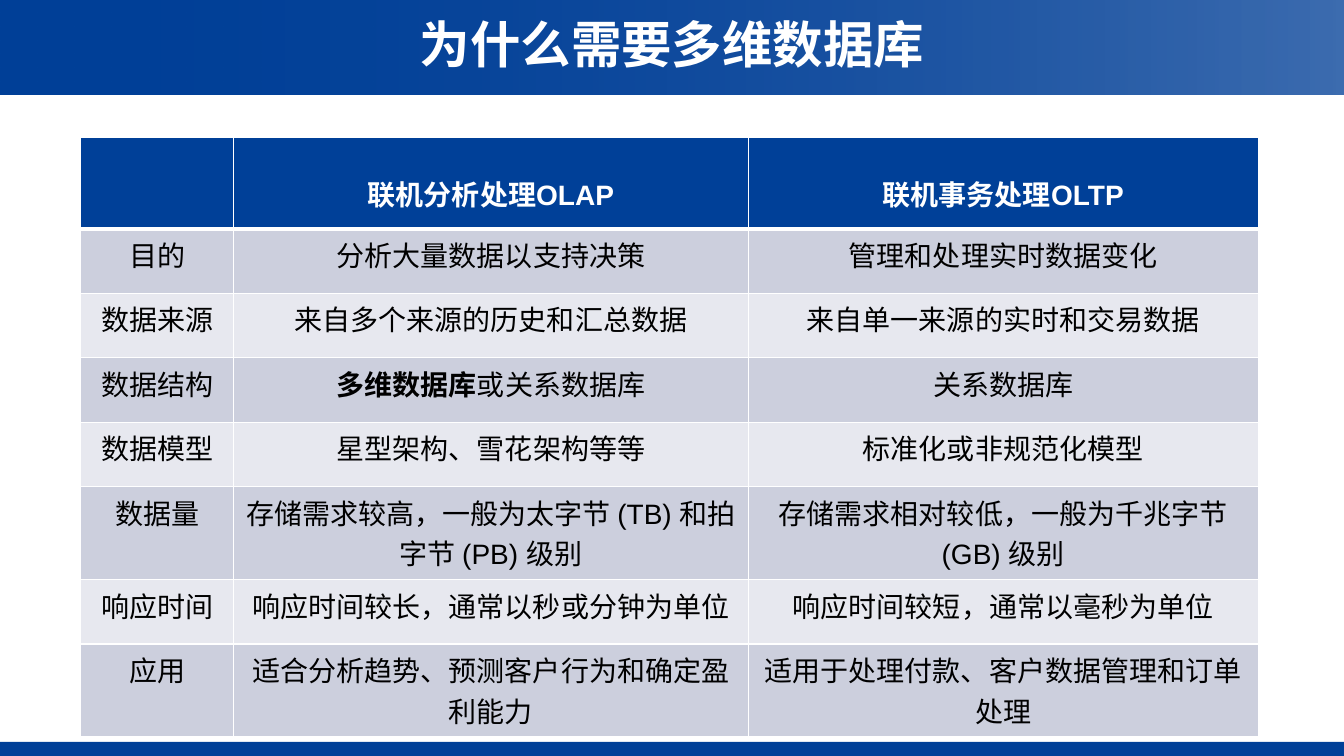
from lxml.etree import SubElement
from pptx import Presentation
from pptx.dml.color import RGBColor
from pptx.enum.shapes import MSO_SHAPE as Shape
from pptx.enum.text import MSO_ANCHOR as Anchor, PP_ALIGN as Align
from pptx.oxml.ns import qn
from pptx.util import Inches, Pt

COLORS = {"blue": "004098", "white": "FFFFFF", "black": "000000", "odd": "CCCFDD", "even": "E7E8EF"}
LATIN_FONT = "Arial"
CHINESE_FONT = "Noto Sans CJK SC"
TITLE = "为什么需要多维数据库"
HEADER = ["", "联机分析处理OLAP", "联机事务处理OLTP"]
ROWS = [
    ["目的", "分析大量数据以支持决策", "管理和处理实时数据变化"],
    ["数据来源", "来自多个来源的历史和汇总数据", "来自单一来源的实时和交易数据"],
    ["数据结构", [("多维数据库", True), ("或关系数据库", False)], "关系数据库"],
    ["数据模型", "星型架构、雪花架构等等", "标准化或非规范化模型"],
    ["数据量", "存储需求较高，一般为太字节 (TB) 和拍字节 (PB) 级别", "存储需求相对较低，一般为千兆字节 (GB) 级别"],
    ["响应时间", "响应时间较长，通常以秒或分钟为单位", "响应时间较短，通常以毫秒为单位"],
    ["应用", "适合分析趋势、预测客户行为和确定盈利能力", "适用于处理付款、客户数据管理和订单处理"],
]
COLUMN_WIDTHS = [1.52, 5.1, 5.06]
HEADER_HEIGHT, ONE_LINE, TWO_LINES = 0.91, 0.64, 0.92
ROW_HEIGHTS = [HEADER_HEIGHT] + [ONE_LINE] * 4 + [TWO_LINES, ONE_LINE, TWO_LINES]
TABLE_LEFT, TABLE_TOP = 0.8, 1.36
BANNER = (0.01, 0, 13.31, 0.94)


def rgb(name):
    return RGBColor.from_string(COLORS[name])


def add_run(paragraph, text, size, color, bold, latin=LATIN_FONT):
    run = paragraph.add_run()
    run.text = text
    run.font.size = Pt(size)
    run.font.bold = bold
    run.font.name = latin
    run.font.color.rgb = rgb(color)
    SubElement(run.font._element, qn("a:ea"), typeface=CHINESE_FONT)


def add_bar(slide, box, right_opacity=None):
    shape = slide.shapes.add_shape(Shape.RECTANGLE, *map(Inches, box))
    shape.shadow.inherit = False
    shape.line.fill.background()
    if right_opacity is None:
        shape.fill.solid()
        shape.fill.fore_color.rgb = rgb("blue")
        return
    shape.fill.gradient()
    shape.fill.gradient_angle = 180
    for stop in shape.fill.gradient_stops:
        stop.color.rgb = rgb("blue")
    first_color = shape._element.spPr.find(".//" + qn("a:srgbClr"))
    SubElement(first_color, qn("a:alpha"), val=str(right_opacity * 1000))


def add_title(slide):
    box = slide.shapes.add_textbox(*map(Inches, BANNER))
    frame = box.text_frame
    frame.word_wrap = True
    frame.vertical_anchor = Anchor.MIDDLE
    frame.margin_left = frame.margin_right = Inches(0.16)
    frame.margin_top = frame.margin_bottom = Inches(0.16)
    paragraph = frame.paragraphs[0]
    paragraph.alignment = Align.CENTER
    paragraph.line_spacing = 0.9
    add_run(paragraph, TITLE, 36, "white", True, CHINESE_FONT)


def set_borders(cell, top, bottom):
    properties = cell._tc.get_or_add_tcPr()
    for side, width in (("L", 1), ("R", 1), ("T", top), ("B", bottom)):
        line = SubElement(properties, qn("a:ln" + side), w=str(Pt(width)))
        fill = SubElement(line, qn("a:solidFill"))
        SubElement(fill, qn("a:srgbClr"), val=COLORS["white"])


def add_comparison(slide):
    rows = [HEADER] + ROWS
    box = (TABLE_LEFT, TABLE_TOP, sum(COLUMN_WIDTHS), sum(ROW_HEIGHTS))
    table = slide.shapes.add_table(len(rows), len(HEADER), *map(Inches, box)).table
    for column, width in zip(table.columns, COLUMN_WIDTHS):
        column.width = Inches(width)
    for row, height in zip(table.rows, ROW_HEIGHTS):
        row.height = Inches(height)
    for index, values in enumerate(rows):
        is_header = index == 0
        fill = "blue" if is_header else "odd" if index % 2 else "even"
        for column, value in enumerate(values):
            cell = table.cell(index, column)
            set_borders(cell, 3 if index == 1 else 1, 3 if is_header else 1)
            cell.fill.solid()
            cell.fill.fore_color.rgb = rgb(fill)
            if is_header:
                cell.margin_top = Inches(0.36)
            paragraph = cell.text_frame.paragraphs[0]
            paragraph.alignment = Align.CENTER
            runs = [(value, is_header)] if isinstance(value, str) else value
            for text, bold in runs:
                if text:
                    add_run(paragraph, text, 20, "white" if is_header else "black", bold)


def main():
    presentation = Presentation()
    presentation.slide_width = Inches(13.33)
    presentation.slide_height = Inches(7.5)
    slide = presentation.slides.add_slide(presentation.slide_layouts[6])
    add_bar(slide, (0, 7.36, 13.33, 0.14))
    add_bar(slide, (0, 0, 13.32, 0.94), 77)
    add_bar(slide, BANNER, 0)
    add_title(slide)
    add_comparison(slide)
    presentation.save("out.pptx")


if __name__ == "__main__":
    main()
